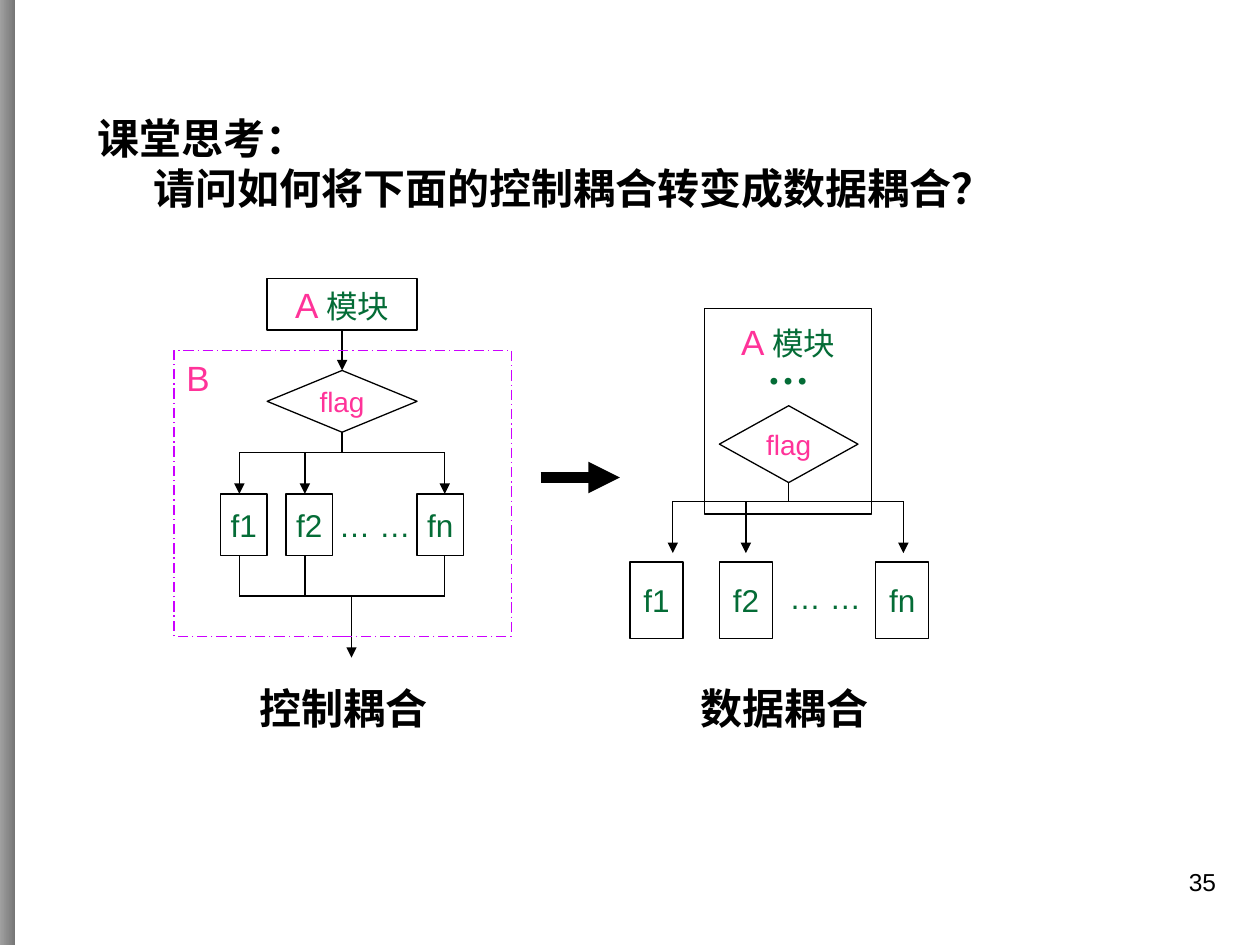
from dataclasses import dataclass

import pptx
import pptx.dml.color
import pptx.enum.dml
import pptx.enum.lang
import pptx.enum.shapes
import pptx.enum.text
import pptx.oxml
import pptx.oxml.ns
import pptx.util

Inches, Pt = pptx.util.Inches, pptx.util.Pt
SHAPE = pptx.enum.shapes.MSO_SHAPE
ALIGN = pptx.enum.text.PP_ALIGN
ANCHOR = pptx.enum.text.MSO_ANCHOR
TOP, BOTTOM = 0, 2


@dataclass(frozen=True)
class Theme:
    ink: str = "000000"
    paper: str = "FFFFFF"
    pink: str = "FF3399"
    green: str = "046C36"
    violet: str = "CC00FF"
    bar_light: str = "A0A0A0"
    bar_dark: str = "767676"
    sans: str = "Arial"
    serif: str = "Times New Roman"
    heading: int = 24
    name: int = 20
    body: int = 18
    flag: int = 16
    number: int = 14
    hairline: float = 0.75
    thick: float = 6


T = Theme()
NAME = (T.sans, T.name, T.pink)
MODULE = (T.serif, T.body, T.green)
CASE = (T.sans, T.body, T.green)
FLAG = (T.sans, T.flag, T.pink)
HEADING = (T.serif, T.heading, T.ink, True)
MODULE_NAME = [("A ", NAME), ("模块", MODULE)]


def rgb(value):
    return pptx.dml.color.RGBColor.from_string(value)


def style(r, font, size, color, bold=False):
    r.font.name = font
    r.font.size = Pt(size)
    r.font.color.rgb = rgb(color)
    r.font.bold = bold
    r.font.language_id = pptx.enum.lang.MSO_LANGUAGE_ID.SIMPLIFIED_CHINESE


def write(tf, paragraphs, align=ALIGN.CENTER):
    """Fill a text frame; each paragraph is a list of (text, style) runs."""
    for i, runs in enumerate(paragraphs):
        p = tf.add_paragraph() if i else tf.paragraphs[0]
        p.alignment = align
        for text, look in runs:
            r = p.add_run()
            r.text = text
            style(r, *look)


def add_node(s, kind, x, y, w, h, paragraphs, fill=T.paper, line=T.ink):
    sp = s.shapes.add_shape(kind, x, y, w, h)
    sp.shadow.inherit = False
    if fill:
        sp.fill.solid()
        sp.fill.fore_color.rgb = rgb(fill)
    else:
        sp.fill.background()
    if line:
        sp.line.color.rgb = rgb(line)
        sp.line.width = Pt(T.hairline)
    else:
        sp.line.fill.background()
    sp.text_frame.word_wrap = False
    sp.text_frame.vertical_anchor = ANCHOR.MIDDLE
    write(sp.text_frame, paragraphs)
    return sp


def add_line(s, x1, y1, x2, y2, arrow=False, width=T.hairline):
    c = s.shapes.add_connector(pptx.enum.shapes.MSO_CONNECTOR.STRAIGHT, x1, y1, x2, y2)
    c.line.color.rgb = rgb(T.ink)
    c.line.width = Pt(width)
    ns = pptx.oxml.ns.nsdecls("a")
    if arrow:
        c.line._get_or_add_ln().append(
            pptx.oxml.parse_xml(f'<a:tailEnd {ns} type="triangle"/>'))
    c._element.spPr.append(pptx.oxml.parse_xml(f"<a:effectLst {ns}/>"))
    return c


def add_label(s, x, y, w, h, text, look, align=ALIGN.LEFT):
    tb = s.shapes.add_textbox(x, y, w, h)
    tb.text_frame.word_wrap = True
    write(tb.text_frame, [[(text, look)]], align)


def add_branches(s, xs, top, bottom, bar, arrow=False):
    """Draw a vertical line at each x, tied by a horizontal line at bar."""
    add_line(s, xs[0], bar, xs[-1], bar)
    for x in xs:
        add_line(s, x, top, x, bottom, arrow)


def add_cases(s, xs, y, w, h):
    for x, text in zip(xs, ("f1", "f2", "fn")):
        add_node(s, SHAPE.RECTANGLE, x, y, w, h, [[(text, CASE)]])


def add_ellipsis(s, x, y, w, h):
    add_node(s, SHAPE.RECTANGLE, x, y, w, h, [[("… …", CASE)]], None, None)


def add_sidebar(s, x, y, w, h):
    sp = add_node(s, SHAPE.RECTANGLE, x, y, w, h, [], line=None)
    sp.fill.gradient()
    sp.fill.gradient_angle = 0
    for stop, color, at in zip(sp.fill.gradient_stops, (T.bar_light, T.bar_dark), (0, 1)):
        stop.color.rgb = rgb(color)
        stop.position = at


def add_heading(s, x, y, w, h):
    sp = s.shapes.title
    sp.left, sp.top, sp.width, sp.height = x, y, w, h
    tf = sp.text_frame
    tf.auto_size = pptx.enum.text.MSO_AUTO_SIZE.NONE
    tf.vertical_anchor = ANCHOR.TOP
    write(tf, [[("课堂思考：", HEADING)],
               [("请问如何将下面的控制耦合转变成数据耦合？", HEADING)]], ALIGN.LEFT)
    pPr = tf.paragraphs[1]._p.get_or_add_pPr()
    pPr.set("marL", str(Inches(0.45)))
    pPr.set("indent", "0")


def add_control_coupling(s, x, y, w, h):
    frame_top = y + Inches(0.57)
    node_x, node_w = x + Inches(0.74), Inches(1.19)
    case_x, step = x + Inches(0.37), Inches(0.52)
    case_y, case_w, case_h = y + Inches(1.71), Inches(0.37), Inches(0.49)
    drops = [x + Inches(d) for d in (0.52, 1.04, 2.15)]
    split, merge = y + Inches(1.38), y + Inches(2.52)
    middle = node_x + node_w // 2

    module = add_node(s, SHAPE.RECTANGLE, node_x, y, node_w, Inches(0.41), [MODULE_NAME])
    flag = add_node(s, SHAPE.DIAMOND, node_x, y + Inches(0.73), node_w, Inches(0.49),
                    [[("flag", FLAG)]])
    c = add_line(s, middle, module.top + module.height, middle, flag.top, True)
    c.begin_connect(module, BOTTOM)
    c.end_connect(flag, TOP)
    c = add_line(s, middle, flag.top + flag.height, middle, split)
    c.begin_connect(flag, BOTTOM)

    add_branches(s, drops, split, case_y, split, arrow=True)
    add_branches(s, drops, case_y + case_h, merge, merge)
    exit_x = x + Inches(1.41)
    add_line(s, exit_x, merge, exit_x, y + h, True)

    frame = add_node(s, SHAPE.RECTANGLE, x, frame_top, w, Inches(2.27),
                     [[("B", NAME)]], None, T.violet)
    frame.line.dash_style = pptx.enum.dml.MSO_LINE.LONG_DASH_DOT
    frame.text_frame.vertical_anchor = ANCHOR.TOP
    frame.text_frame.paragraphs[0].alignment = ALIGN.LEFT

    add_cases(s, [case_x + i * step for i in (0, 1, 3)], case_y, case_w, case_h)
    add_ellipsis(s, case_x + 2 * step, case_y, case_w, case_h)


def add_data_coupling(s, x, y, w, h):
    case_w, case_h = Inches(0.42), Inches(0.61)
    case_y = y + h - case_h
    split = y + Inches(1.53)

    module = add_node(s, SHAPE.RECTANGLE, x + Inches(0.59), y, Inches(1.33), Inches(1.63),
                      [MODULE_NAME, [("…", (T.serif, T.heading, T.green, True))]])
    tf = module.text_frame
    tf.vertical_anchor = ANCHOR.TOP
    tf.margin_top = Inches(0.21)
    for p in tf.paragraphs:
        p.line_spacing = 0.6

    drops = [x + Inches(d) for d in (0.34, 0.92, 2.17)]
    add_branches(s, drops, split, y + Inches(1.94), split, arrow=True)
    add_cases(s, [x, x + Inches(0.71), x + w - case_w], case_y, case_w, case_h)
    add_ellipsis(s, x + Inches(1.34), case_y - Inches(0.03), case_w, case_h)
    flag = add_node(s, SHAPE.DIAMOND, x + Inches(0.71), y + Inches(0.77), Inches(1.1),
                    Inches(0.61), [[("flag", FLAG)]])
    middle = flag.left + flag.width // 2
    c = add_line(s, middle, flag.top + flag.height, middle, split)
    c.begin_connect(flag, BOTTOM)


def main():
    prs = pptx.Presentation()
    prs.slide_width, prs.slide_height = Inches(10), Inches(7.5)
    s = prs.slides.add_slide(prs.slide_layouts[5])
    add_sidebar(s, 0, 0, Inches(0.12), prs.slide_height)
    add_heading(s, Inches(0.67), Inches(0.84), Inches(8.19), Inches(0.9))
    add_control_coupling(s, Inches(1.38), Inches(2.21), Inches(2.68), Inches(3.01))
    add_line(s, Inches(4.29), Inches(3.79), Inches(4.92), Inches(3.79), True, T.thick)
    add_data_coupling(s, Inches(5), Inches(2.45), Inches(2.37), Inches(2.62))
    for x, text in ((1.96, "控制耦合"), (5.46, "数据耦合")):
        add_label(s, Inches(x), Inches(5.37), Inches(2.1), Inches(0.5), text, HEADING)
    add_label(s, Inches(7.67), Inches(6.83), Inches(2.08), Inches(0.5), "35",
              (T.sans, T.number, T.ink), ALIGN.RIGHT)
    prs.save("out.pptx")


if __name__ == "__main__":
    main()
